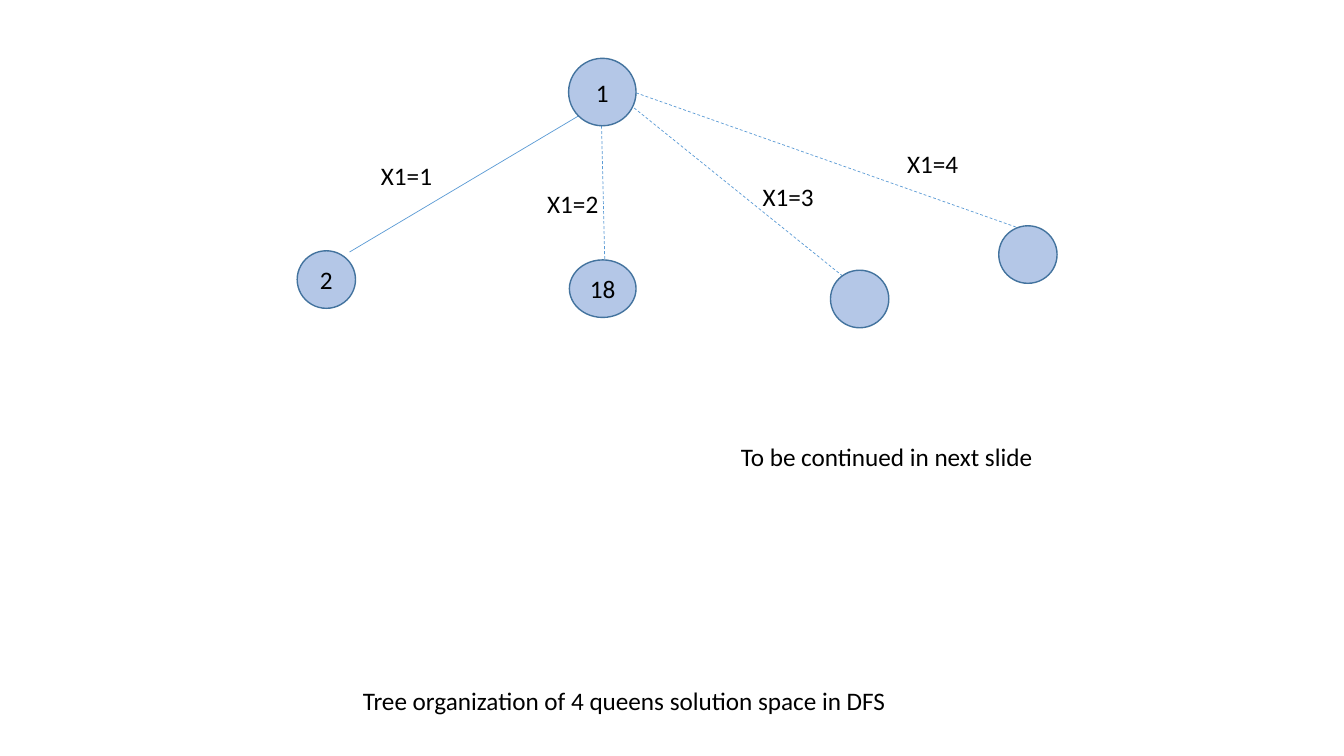
from dataclasses import dataclass

import pptx
import pptx.dml.color
import pptx.enum.dml
import pptx.enum.shapes
import pptx.enum.text
import pptx.oxml.ns
import pptx.oxml.xmlchemy
import pptx.shapes.base
import pptx.slide
import pptx.text.text
import pptx.util
from lxml import etree
from pptx.util import Cm


@dataclass(frozen=True)
class Theme:
    font: str = "Calibri"
    size: float = 18
    text: str = "000000"
    node_fill: str = "B4C7E7"
    node_line: str = "43739E"
    node_line_width: float = 1
    edge: str = "5B9BD5"
    edge_width: float = 0.5


@dataclass(frozen=True)
class Node:
    left: float
    top: float
    text: str = ""
    width: float = 1.47
    height: float = 1.45


@dataclass(frozen=True)
class Edge:
    start: tuple[float, float]
    end: tuple[float, float]
    dashed: bool = True


@dataclass(frozen=True)
class Label:
    text: str
    left: float
    top: float
    width: float = 1.83
    height: float = 1.02


THEME = Theme()

NODES = [
    Node(14.33, 1.47, "1", 1.7, 1.7),
    Node(7.49, 6.32, "2"),
    Node(14.35, 6.55, "18", 1.68),
    Node(20.93, 6.81),
    Node(25.17, 5.69),
]
EDGES = [
    Edge((14.58, 2.92), (8.81, 6.35), dashed=False),
    Edge((15.16, 3.18), (15.24, 6.55)),
    Edge((15.98, 2.72), (21.49, 7.16)),
    Edge((16.03, 2.34), (25.6, 5.72)),
]
CAPTION = Label("Tree organization of 4 queens solution space in DFS", 8.89, 17.15, 13.87)
LABELS = [
    Label("X1=1", 9.35, 3.91),
    Label("X1=2", 13.54, 4.62),
    Label("X1=3", 18.97, 4.45),
    Label("X1=4", 22.61, 3.61),
    Label("To be continued in next slide", 18.42, 11, 7.95),
]


def rgb(value: str) -> pptx.dml.color.RGBColor:
    return pptx.dml.color.RGBColor.from_string(value)


def write(tf: pptx.text.text.TextFrame, text: str, align: pptx.enum.text.PP_ALIGN) -> None:
    tf.text = text
    p = tf.paragraphs[0]
    p.alignment = align
    for r in p.runs:
        r.font.name = THEME.font
        r.font.size = pptx.util.Pt(THEME.size)
        r.font.color.rgb = rgb(THEME.text)


def fill_label(sp: pptx.shapes.base.BaseShape, label: Label) -> None:
    """Place a text shape and give it one unwrapped line of text."""
    sp.left, sp.top = Cm(label.left), Cm(label.top)
    sp.width, sp.height = Cm(label.width), Cm(label.height)
    tf = sp.text_frame
    write(tf, label.text, pptx.enum.text.PP_ALIGN.LEFT)
    tf.word_wrap = False
    tf.auto_size = pptx.enum.text.MSO_AUTO_SIZE.SHAPE_TO_FIT_TEXT
    tf.vertical_anchor = pptx.enum.text.MSO_ANCHOR.TOP


def add_label(s: pptx.slide.Slide, label: Label) -> None:
    fill_label(s.shapes.add_textbox(0, 0, 0, 0), label)


def add_edge(s: pptx.slide.Slide, edge: Edge) -> None:
    sp = s.shapes.add_connector(
        pptx.enum.shapes.MSO_CONNECTOR.STRAIGHT,
        *(Cm(v) for v in edge.start + edge.end),
    )
    sp.line.color.rgb = rgb(THEME.edge)
    sp.line.width = pptx.util.Pt(THEME.edge_width)
    if edge.dashed:
        sp.line.dash_style = pptx.enum.dml.MSO_LINE.DASH
    etree.SubElement(sp._element.spPr, pptx.oxml.ns.qn("a:effectLst"))


def add_node(s: pptx.slide.Slide, node: Node) -> None:
    sp = s.shapes.add_shape(
        pptx.enum.shapes.MSO_SHAPE.OVAL,
        Cm(node.left), Cm(node.top), Cm(node.width), Cm(node.height),
    )
    sp.shadow.inherit = False
    sp.fill.solid()
    sp.fill.fore_color.rgb = rgb(THEME.node_fill)
    sp.line.color.rgb = rgb(THEME.node_line)
    sp.line.width = pptx.util.Pt(THEME.node_line_width)
    if node.text:
        write(sp.text_frame, node.text, pptx.enum.text.PP_ALIGN.CENTER)
        sp.text_frame.vertical_anchor = pptx.enum.text.MSO_ANCHOR.MIDDLE


def main() -> None:
    prs = pptx.Presentation()
    prs.slide_width, prs.slide_height = Cm(33.87), Cm(19.05)
    s = prs.slides.add_slide(prs.slide_layouts.get_by_name("Title Only"))
    fill_label(s.shapes.title, CAPTION)
    for edge in EDGES:
        add_edge(s, edge)
    for node in NODES:
        add_node(s, node)
    for label in LABELS:
        add_label(s, label)
    prs.save("out.pptx")


if __name__ == "__main__":
    main()
